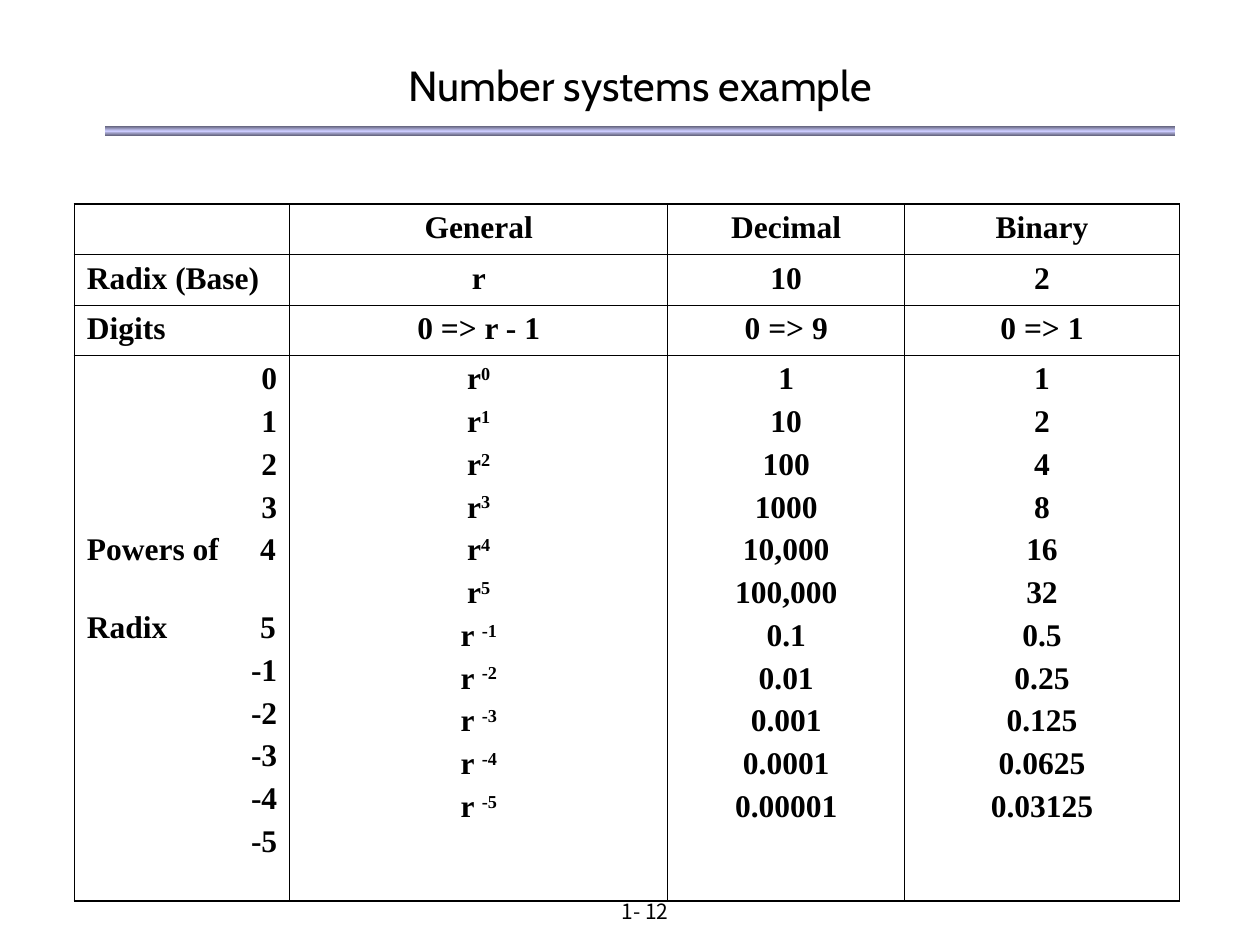
from copy import deepcopy

from lxml.etree import SubElement
from pptx import Presentation
from pptx.dml.color import RGBColor
from pptx.enum.shapes import MSO_SHAPE as Preset
from pptx.enum.text import MSO_ANCHOR as Anchor, PP_ALIGN as Align
from pptx.oxml.ns import qn
from pptx.util import Inches, Pt

TITLE = "Number systems example"
PAGE_NUMBER = "1- 12"
HEADINGS = ["", "General", "Decimal", "Binary"]
FACTS = [
    ["Radix (Base)", "r", "10", "2"],
    ["Digits", "0 => r - 1", "0 => 9", "0 => 1"],
]
# A caret starts a superscript, a tab leads to the right edge of the column.
POWERS = [
    ["0", "1", "2", "3", "Powers of\t4", "Radix\t5", "-1", "-2", "-3", "-4", "-5"],
    [f"r^{n}" for n in range(6)] + [f"r ^-{n}" for n in range(1, 6)],
    ["1", "10", "100", "1000", "10,000", "100,000",
     "0.1", "0.01", "0.001", "0.0001", "0.00001"],
    ["1", "2", "4", "8", "16", "32", "0.5", "0.25", "0.125", "0.0625", "0.03125"],
]

COLORS = {"ink": "000000", "bar_edge": "5E5E76", "bar_middle": "CCCCFF"}
FONTS = {"title": "Cabin", "table": "Times New Roman", "page": "Noto Sans CJK KR"}
SLIDE_SIZE = (10, 7.5)
MARGIN, CONTENT_WIDTH = 0.83, 8.5
TABLE_LEFT, TABLE_TOP = 0.59, 1.62
COLUMNS = [1.71, 3, 1.88, 2.18]
ROWS = [0.4, 0.4, 0.4, 4.33]
INNER_LINE, OUTER_LINE = 0.45, 1.08
LINE_GAP, RADIX_GAP = 4.5, 24.4
POWER_TAB = 1.5


def add_run(paragraph, text, font, size, bold=False, raised=False):
    run = paragraph.add_run()
    run.text = text
    run.font.name, run.font.size, run.font.bold = font, Pt(size), bold
    run.font.color.rgb = RGBColor.from_string(COLORS["ink"])
    if raised:
        run.font._element.set("baseline", "30000")


def add_centred_text(slide, place, text, font, size, inset, anchor):
    box = slide.shapes.add_textbox(*map(Inches, place))
    frame = box.text_frame
    frame.word_wrap, frame.vertical_anchor = True, anchor
    frame.margin_left = frame.margin_right = Inches(inset)
    frame.margin_top = frame.margin_bottom = Inches(inset / 2)
    frame.paragraphs[0].alignment = Align.CENTER
    add_run(frame.paragraphs[0], text, font, size)


def add_bar(slide):
    bar = slide.shapes.add_shape(
        Preset.RECTANGLE, *map(Inches, (MARGIN, 1, CONTENT_WIDTH, 0.08)))
    bar.shadow.inherit = False
    bar.line.fill.background()
    bar.fill.gradient()
    bar.fill.gradient_angle = 90
    first, last = bar.fill.gradient_stops
    for stop in (first, last):
        stop.color.rgb = RGBColor.from_string(COLORS["bar_edge"])
    first._gs.addnext(deepcopy(first._gs))
    middle = bar.fill.gradient_stops[1]
    middle.position = 0.5
    middle.color.rgb = RGBColor.from_string(COLORS["bar_middle"])


def set_borders(cell, row, column):
    """Draw thin lines inside the table and thicker ones around it."""
    outer = {"lnL": column == 0, "lnR": column == len(COLUMNS) - 1,
             "lnT": row == 0, "lnB": row == len(ROWS) - 1}
    properties = cell._tc.get_or_add_tcPr()
    for side, is_outer in outer.items():
        width = Pt(OUTER_LINE if is_outer else INNER_LINE)
        line = SubElement(properties, qn(f"a:{side}"), w=str(width))
        fill = SubElement(line, qn("a:solidFill"))
        SubElement(fill, qn("a:srgbClr"), val=COLORS["ink"])


def add_line(paragraph, text, alignment):
    if "\t" in text:
        alignment = Align.LEFT
        tabs = SubElement(paragraph._p.get_or_add_pPr(), qn("a:tabLst"))
        SubElement(tabs, qn("a:tab"), pos=str(Inches(POWER_TAB)), algn="r")
    paragraph.alignment = alignment
    base, _, exponent = text.partition("^")
    add_run(paragraph, base, FONTS["table"], 18, bold=True)
    if exponent:
        add_run(paragraph, exponent, FONTS["table"], 18, bold=True, raised=True)


def fill_cell(cell, lines, alignment):
    frame = cell.text_frame
    for index, text in enumerate(lines):
        paragraph = frame.add_paragraph() if index else frame.paragraphs[0]
        if index:
            gap = RADIX_GAP if text.startswith("Radix") else LINE_GAP
            paragraph.space_before = Pt(gap)
        add_line(paragraph, text, alignment)


def add_number_table(slide):
    place = (TABLE_LEFT, TABLE_TOP, sum(COLUMNS), sum(ROWS))
    table = slide.shapes.add_table(
        len(ROWS), len(COLUMNS), *map(Inches, place)).table
    table.first_row = table.horz_banding = False
    for column, width in zip(table.columns, COLUMNS):
        column.width = Inches(width)
    for row, height in zip(table.rows, ROWS):
        row.height = Inches(height)
    content = [[[text] if text else [] for text in row] for row in [HEADINGS, *FACTS]]
    content.append(POWERS)
    for r, row in enumerate(content):
        for c, lines in enumerate(row):
            cell = table.cell(r, c)
            set_borders(cell, r, c)
            cell.fill.background()
            label_side = Align.RIGHT if row is POWERS else Align.LEFT
            fill_cell(cell, lines, Align.CENTER if c else label_side)


def main():
    deck = Presentation()
    deck.slide_width, deck.slide_height = map(Inches, SLIDE_SIZE)
    slide = deck.slides.add_slide(deck.slide_layouts[6])
    add_bar(slide)
    add_centred_text(slide, (MARGIN, 0.44, CONTENT_WIDTH, 0.47), TITLE,
                     FONTS["title"], 24, 0, Anchor.MIDDLE)
    add_centred_text(slide, (4.08, 7.08, 2.08, 0.25), PAGE_NUMBER,
                     FONTS["page"], 12, 0.1, Anchor.TOP)
    add_number_table(slide)
    deck.save("out.pptx")


if __name__ == "__main__":
    main()
